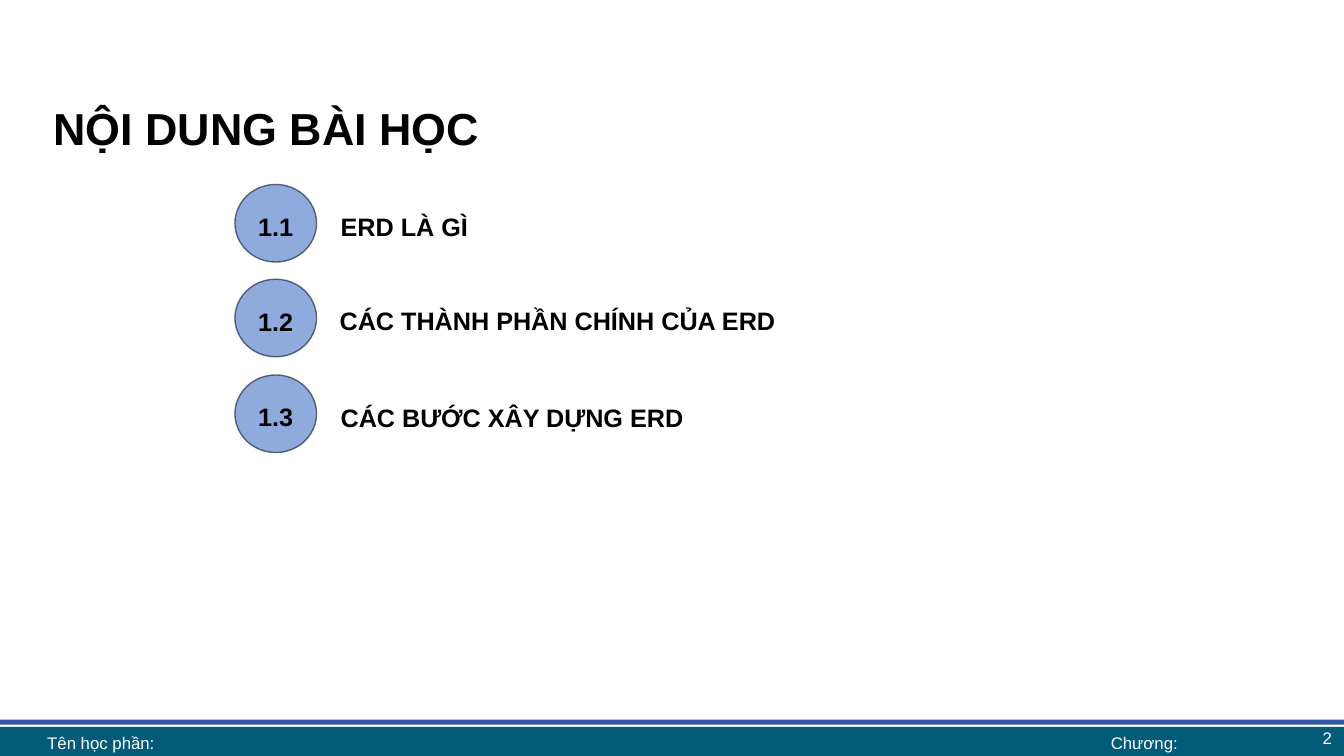
from lxml.etree import SubElement
from pptx import Presentation
from pptx.dml.color import RGBColor
from pptx.enum.shapes import MSO_SHAPE
from pptx.enum.text import MSO_ANCHOR, PP_ALIGN
from pptx.oxml.ns import qn
from pptx.util import Inches, Pt


def color(code):
    return RGBColor.from_string(code)


def write(box, text, size, code, align, bold=False, spacing=None, anchor=MSO_ANCHOR.MIDDLE):
    """Fill a shape with one paragraph; spacing also adds room before it."""
    frame = box.text_frame
    frame.word_wrap = True
    frame.vertical_anchor = anchor
    para = frame.paragraphs[0]
    para.text = text
    para.alignment = align
    para.font.name = "Arial"
    para.font.size = Pt(size)
    para.font.bold = bold
    para.font.color.rgb = color(code)
    if spacing:
        para.line_spacing = spacing
        para.space_before = Pt(5)
    return frame


deck = Presentation()
deck.slide_width = Inches(13.33)
deck.slide_height = Inches(7.5)
page = deck.slides.add_slide(deck.slide_layouts[5])
shapes = page.shapes

# Footer bars
for left, top, width, height, code in [
    (0, 7.21, 13.33, 0.31, "025B79"),
    (-0.01, 7.14, 13.36, 0.05, "3256A4"),
]:
    bar = shapes.add_shape(MSO_SHAPE.RECTANGLE, Inches(left), Inches(top), Inches(width), Inches(height))
    bar.shadow.inherit = False
    bar.fill.solid()
    bar.fill.fore_color.rgb = color(code)
    bar.line.fill.background()

# Title
title = shapes.title
title.left, title.top = Inches(0.43), Inches(0.78)
title.width, title.height = Inches(12.47), Inches(0.87)
write(title, "NỘI DUNG BÀI HỌC", 32, "000000", PP_ALIGN.JUSTIFY, True, 1.2)

# Lesson sections: number, heading, circle top, heading left and top
sections = [
    ("1.1", "ERD LÀ GÌ", 1.83, 3.28, 2),
    ("1.2", "CÁC THÀNH PHẦN CHÍNH CỦA ERD", 2.77, 3.27, 2.93),
    ("1.3", "CÁC BƯỚC XÂY DỰNG ERD", 3.72, 3.28, 3.89),
]
for number, heading, circle_top, heading_left, heading_top in sections:
    circle = shapes.add_shape(MSO_SHAPE.OVAL, Inches(2.33), Inches(circle_top), Inches(0.81), Inches(0.77))
    circle.shadow.inherit = False
    circle.fill.solid()
    circle.fill.fore_color.rgb = color("8FAADC")
    circle.line.width = Pt(1)
    circle.line.color.rgb = color("08172E")
    outline_color = circle.line._get_or_add_ln().find(".//" + qn("a:srgbClr"))
    SubElement(outline_color, qn("a:alpha")).set("val", "60000")
    write(circle, number, 18, "000000", PP_ALIGN.CENTER, True, 1.2)

    box = shapes.add_textbox(Inches(heading_left), Inches(heading_top), Inches(7.57), Inches(0.42))
    write(box, heading, 18, "000000", PP_ALIGN.JUSTIFY, True, Pt(25), MSO_ANCHOR.TOP)

# Footer texts
for text, left, top, width, height, align in [
    ("2", 10.31, 7.14, 3, 0.35, PP_ALIGN.RIGHT),
    ("Chương:", 10.6, 7.21, 1.5, 0.31, PP_ALIGN.CENTER),
    ("Tên học phần:", 0.37, 7.21, 10.24, 0.31, PP_ALIGN.LEFT),
]:
    box = shapes.add_textbox(Inches(left), Inches(top), Inches(width), Inches(height))
    frame = write(box, text, 12, "FFFFFF", align)
    frame.margin_top = frame.margin_bottom = 0

deck.save("out.pptx")
